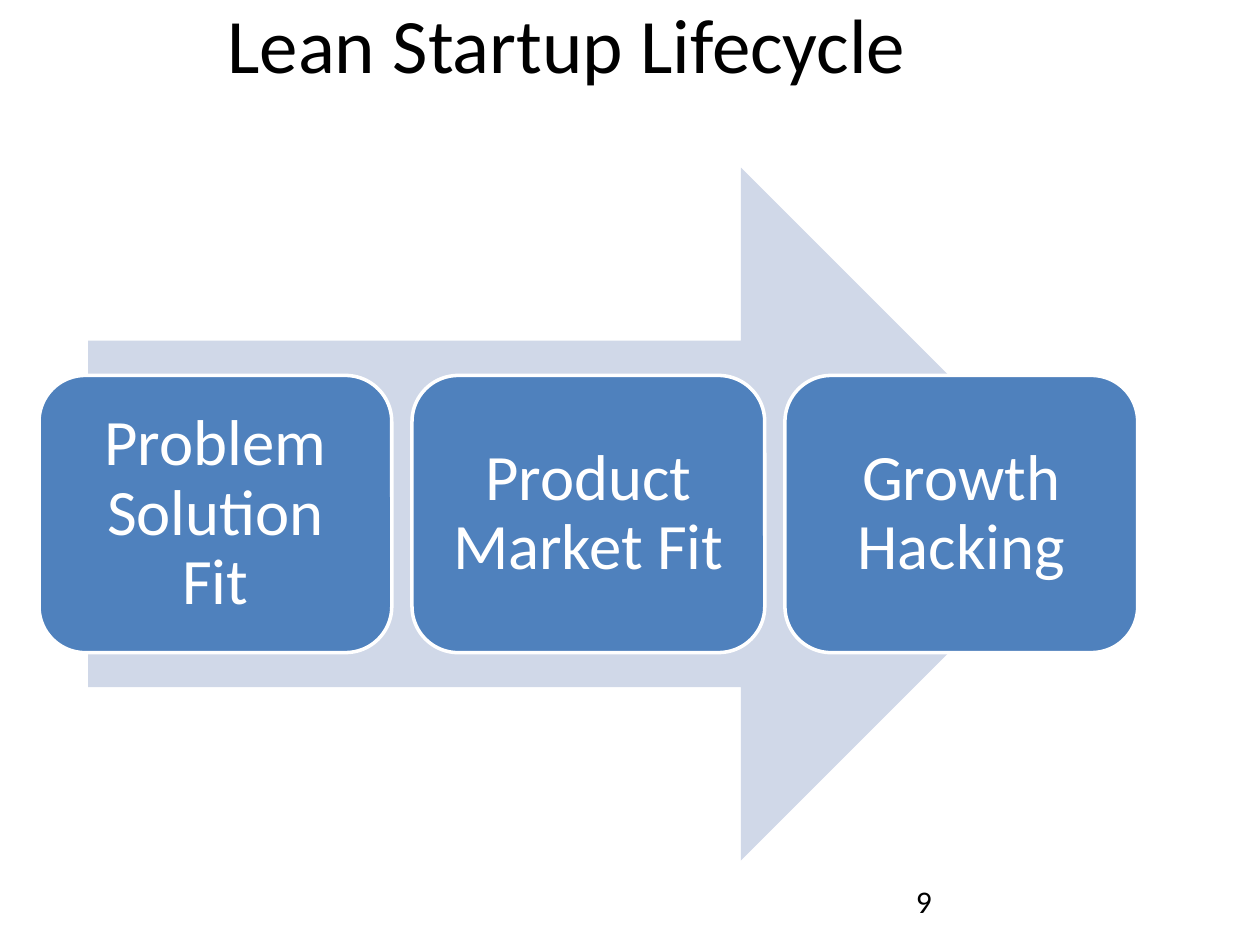
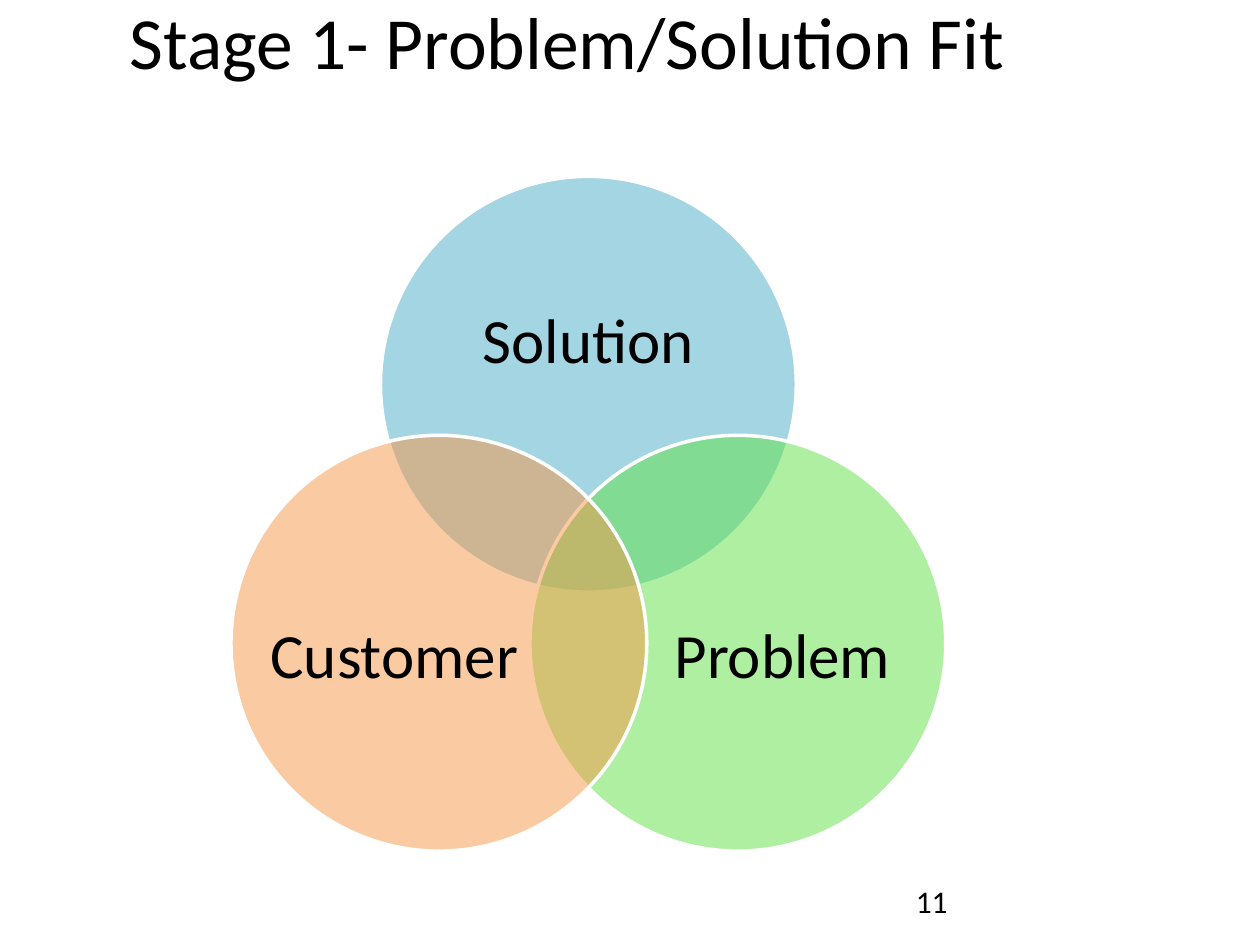
"""Builds two slides on the lean startup: its lifecycle and its first stage."""
import math
from dataclasses import dataclass

import pptx
import pptx.dml.color
import pptx.enum.shapes
import pptx.enum.text
import pptx.oxml.ns
import pptx.util
from lxml import etree

Inches = pptx.util.Inches
Shape = pptx.enum.shapes.MSO_SHAPE
Align = pptx.enum.text.PP_ALIGN
Anchor = pptx.enum.text.MSO_ANCHOR


@dataclass(frozen=True)
class Theme:
    font: str = "Calibri"
    ink: str = "000000"
    paper: str = "FFFFFF"
    arrow: str = "D0D8E8"
    step: str = "4F81BD"
    solution: str = "4BACC6"
    problem: str = "60E146"
    customer: str = "F79646"
    title_size: int = 44
    long_title_size: int = 42
    step_size: int = 37
    circle_size: int = 36
    number_size: int = 18
    outline: int = 2


class SlideBuilder:
    def __init__(self, deck, theme):
        self.deck = deck
        self.theme = theme
        self.page = None

    def start(self, title, title_size, number):
        self.page = self.deck.slides.add_slide(self.deck.slide_layouts[6])
        self.text(number, (7.17, 6.95, 2.33, 0.4), self.theme.number_size)
        self.text(title, (0, -0.08, 9, 1.57), title_size, align=Align.CENTER)

    def fill_text(self, frame, words, size, color, align):
        frame.word_wrap = True
        frame.text = words
        para = frame.paragraphs[0]
        para.alignment = align
        span = para.runs[0]
        span.font.name = self.theme.font
        span.font.size = pptx.util.Pt(size)
        span.font.color.rgb = pptx.dml.color.RGBColor.from_string(color)

    def text(self, words, place, size, align=Align.LEFT):
        box = self.page.shapes.add_textbox(*map(Inches, place))
        self.fill_text(box.text_frame, words, size, self.theme.ink, align)
        return box.text_frame

    def label(self, frame, words, size, color, inset):
        self.fill_text(frame, words, size, color, Align.CENTER)
        frame.vertical_anchor = Anchor.MIDDLE
        frame.margin_left = frame.margin_right = Inches(inset)
        frame.margin_top = frame.margin_bottom = Inches(inset)
        frame.paragraphs[0].line_spacing = 0.9

    def shape(self, kind, place, fill, outlined=True, opacity=100):
        shape = self.page.shapes.add_shape(kind, *map(Inches, place))
        shape.shadow.inherit = False
        shape.fill.solid()
        shape.fill.fore_color.rgb = pptx.dml.color.RGBColor.from_string(fill)
        if outlined:
            shape.line.color.rgb = pptx.dml.color.RGBColor.from_string(self.theme.paper)
            shape.line.width = pptx.util.Pt(self.theme.outline)
        else:
            shape.line.fill.background()
        if opacity < 100:
            qn = pptx.oxml.ns.qn
            color = shape.element.spPr.find(qn("a:solidFill")).find(qn("a:srgbClr"))
            etree.SubElement(color, qn("a:alpha"), val=str(opacity * 1000))
        return shape

    def step(self, words, place):
        card = self.shape(Shape.ROUNDED_RECTANGLE, place, self.theme.step)
        self.label(card.text_frame, words, self.theme.step_size, self.theme.paper, 0.15)

    def circle(self, words, center, diameter, fill, label_place):
        left, top = (middle - diameter / 2 for middle in center)
        self.shape(Shape.OVAL, (left, top, diameter, diameter), fill, opacity=50)
        frame = self.text(words, label_place, self.theme.circle_size)
        self.label(frame, words, self.theme.circle_size, self.theme.ink, 0)


def lifecycle(builder):
    theme = builder.theme
    builder.start("Lean Startup Lifecycle", theme.title_size, "9")
    builder.shape(Shape.RIGHT_ARROW, (0.7, 1.33, 7.93, 5.5), theme.arrow, outlined=False)
    steps = ("Problem Solution Fit", "Product Market Fit", "Growth Hacking")
    for index, words in enumerate(steps):
        builder.step(words, (0.31 + index * 2.96, 2.98, 2.8, 2.2))


def problem_solution_fit(builder):
    theme = builder.theme
    builder.start("Stage 1- Problem/Solution Fit", theme.long_title_size, "11")
    middle_x, middle_y, orbit, diameter = 4.67, 4.42, 1.37, 3.3
    circles = (
        ("Solution", theme.solution, (3.46, 1.98, 2.42, 1.48)),
        ("Problem", theme.problem, (5.22, 4.32, 1.98, 1.81)),
        ("Customer", theme.customer, (2.14, 4.32, 1.98, 1.81)),
    )
    for index, (words, fill, label_place) in enumerate(circles):
        angle = math.radians(120 * index - 90)
        center = (middle_x + orbit * math.cos(angle), middle_y + orbit * math.sin(angle))
        builder.circle(words, center, diameter, fill, label_place)


def main():
    deck = pptx.Presentation()
    deck.slide_width, deck.slide_height = Inches(10), Inches(7.5)
    builder = SlideBuilder(deck, Theme())
    lifecycle(builder)
    problem_solution_fit(builder)
    deck.save("out.pptx")


if __name__ == "__main__":
    main()
